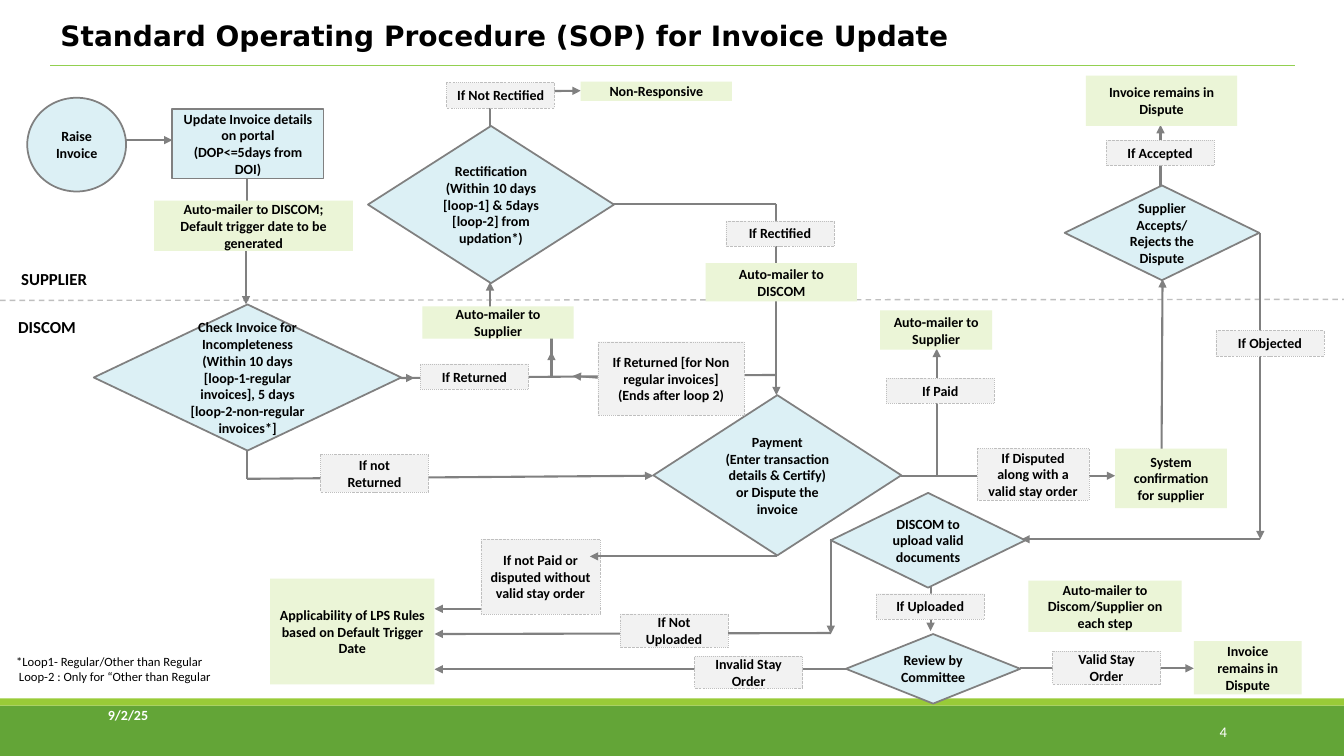
from pptx import Presentation
from pptx import util as u
from pptx.dml.color import RGBColor
from pptx.enum import dml, shapes, text
from pptx.oxml.ns import qn
from lxml import etree

PX = 9144
BLACK = RGBColor(0x00, 0x00, 0x00)
WHITE = RGBColor(0xFF, 0xFF, 0xFF)
GRAY = RGBColor(0x80, 0x80, 0x80)
SILVER = RGBColor(0xBF, 0xBF, 0xBF)
BLUE = RGBColor(0xDC, 0xF0, 0xF5)
MINT = RGBColor(0xEB, 0xF5, 0xD7)
PALE = RGBColor(0xF2, 0xF2, 0xF2)
GREEN = RGBColor(0x63, 0xA5, 0x37)
LIME = RGBColor(0x99, 0xCB, 0x38)
RULE = RGBColor(0x92, 0xD0, 0x50)

RECT = shapes.MSO_SHAPE.RECTANGLE
OVAL = shapes.MSO_SHAPE.OVAL
DIAMOND = shapes.MSO_SHAPE.FLOWCHART_DECISION
LEFT, MID, RIGHT = text.PP_ALIGN.LEFT, text.PP_ALIGN.CENTER, text.PP_ALIGN.RIGHT
TOP, CENTER = text.MSO_ANCHOR.TOP, text.MSO_ANCHOR.MIDDLE

deck = Presentation()
deck.slide_width, deck.slide_height = 1333 * PX, 750 * PX
slide = deck.slides.add_slide(deck.slide_layouts[5])


def write(shape, words, size=10, color=BLACK, bold=True, align=MID, anchor=CENTER, font="Calibri"):
    frame = shape.text_frame
    frame.word_wrap = True
    frame.vertical_anchor = anchor
    frame.margin_left = frame.margin_right = 9 * PX
    frame.margin_top = frame.margin_bottom = 5 * PX
    for i, line in enumerate(words.split("|")):
        para = frame.add_paragraph() if i else frame.paragraphs[0]
        para.alignment = align
        run = para.add_run()
        run.text = line
        run.font.name = font
        run.font.size = u.Pt(size)
        run.font.bold = bold
        run.font.color.rgb = color


def join(ends, color=GRAY, width=1.5, arrow=False):
    link = slide.shapes.add_connector(shapes.MSO_CONNECTOR.STRAIGHT, *[n * PX for n in ends])
    link.line.color.rgb = color
    link.line.width = u.Pt(width)
    props = link._element.spPr
    if arrow:
        etree.SubElement(link.line._get_or_add_ln(), qn("a:tailEnd"), type="triangle")
    etree.SubElement(props, qn("a:effectLst"))
    return link


title = slide.shapes.title
title.left, title.top, title.width, title.height = [n * PX for n in (51, 13, 1209, 44)]
write(title, "Standard Operating Procedure (SOP) for Invoice Update",
      20, align=LEFT, anchor=TOP, font="DejaVu Sans")
join((50, 65, 1284, 65), RULE, 1)

for top, high, color in [(700, 50, GREEN), (693, 7, LIME)]:
    bar = slide.shapes.add_shape(RECT, 0, top * PX, 1333 * PX, high * PX)
    bar.shadow.inherit = False
    bar.fill.solid()
    bar.fill.fore_color.rgb = color
    bar.line.fill.background()

lane = join((0, 298, 1333, 297), SILVER, 1)
lane.line.dash_style = dml.MSO_LINE.DASH

plain = [
    (245, 435, 245, 475), (547, 326, 547, 375), (398, 375, 769, 372),
    (245, 177, 245, 217), (607, 202, 770, 202), (486, 125, 486, 90),
]
arrows = [
    (849, 664, 431, 664), (1250, 231, 1250, 535), (1012, 663, 1184, 663),
    (824, 628, 431, 629), (923, 555, 923, 626), (1151, 206, 1151, 124),
    (929, 472, 929, 346), (92, 139, 171, 139), (497, 91, 576, 90),
    (245, 475, 648, 472), (770, 202, 770, 392), (244, 239, 244, 302),
    (486, 326, 486, 280), (477, 604, 431, 604), (894, 472, 1106, 472),
    (1152, 459, 1153, 277), (824, 535, 824, 629),
]
thin = [(374, 375, 411, 375), (593, 375, 568, 373), (547, 375, 547, 349)]
for ends in plain:
    join(ends)
for ends in arrows:
    join(ends, arrow=True)
for ends in thin:
    join(ends, width=1, arrow=True)

steps = [
    (OVAL, 27, 97, 98, 93, "Raise Invoice"),
    (RECT, 171, 108, 150, 69, "Update Invoice details on portal|(DOP<=5days from DOI)"),
    (DIAMOND, 365, 125, 244, 156,
     "Rectification|(Within 10 days [loop-1] & 5days [loop-2] from updation*)"),
    (DIAMOND, 648, 392, 246, 159,
     "Payment|(Enter transaction details & Certify) or Dispute the invoice"),
    (DIAMOND, 824, 489, 193, 94, "DISCOM to upload valid documents"),
    (DIAMOND, 839, 629, 173, 69, "Review by Committee"),
    (DIAMOND, 1056, 184, 193, 94, "Supplier Accepts/ Rejects the Dispute"),
    (DIAMOND, 93, 302, 305, 145,
     "Check Invoice for Incompleteness (Within 10 days [loop-1-regular invoices], "
     "5 days [loop-2-non-regular invoices*]"),
]
results = [
    (RECT, 576, 81, 150, 19, "Non-Responsive"),
    (RECT, 700, 261, 150, 38, "Auto-mailer to DISCOM"),
    (RECT, 268, 574, 163, 105, "Applicability of LPS Rules based on Default Trigger Date"),
    (RECT, 873, 308, 111, 39, "Auto-mailer to Supplier"),
    (RECT, 1077, 75, 150, 50, "Invoice remains in Dispute"),
    (RECT, 1020, 576, 152, 51, "Auto-mailer to Discom/Supplier on each step"),
    (RECT, 1184, 636, 107, 53, "Invoice remains in Dispute"),
    (RECT, 153, 199, 197, 50, "Auto-mailer to DISCOM;|Default trigger date to be generated"),
    (RECT, 419, 304, 150, 32, "Auto-mailer to Supplier"),
    (RECT, 1106, 445, 111, 59, "System confirmation for supplier"),
]
cases = [
    (RECT, 417, 361, 107, 25, "If Returned"),
    (RECT, 593, 339, 145, 73, "If Returned [for Non regular invoices]|(Ends after loop 2)"),
    (RECT, 869, 589, 107, 25, "If Uploaded"),
    (RECT, 720, 219, 107, 25, "If Rectified"),
    (RECT, 879, 375, 107, 25, "If Paid"),
    (RECT, 1206, 328, 107, 25, "If Objected"),
    (RECT, 1097, 139, 107, 25, "If Accepted"),
    (RECT, 1044, 646, 107, 33, "Valid Stay Order"),
    (RECT, 477, 535, 118, 74, "If not Paid or disputed without valid stay order"),
    (RECT, 615, 609, 107, 33, "If Not Uploaded"),
    (RECT, 443, 82, 107, 25, "If Not Rectified"),
    (RECT, 318, 451, 107, 37, "If not|Returned"),
    (RECT, 969, 445, 111, 51, "If Disputed along with a valid stay order"),
    (RECT, 689, 651, 107, 32, "Invalid Stay Order"),
]
for group, fill, edge, width, dash in [
    (steps, BLUE, GRAY, 1.25, None),
    (results, MINT, None, 0, None),
    (cases, PALE, SILVER, 0.25, dml.MSO_LINE.DASH_DOT),
]:
    for kind, left, top, wide, high, words in group:
        box = slide.shapes.add_shape(kind, left * PX, top * PX, wide * PX, high * PX)
        box.shadow.inherit = False
        box.fill.solid()
        box.fill.fore_color.rgb = fill
        if edge:
            box.line.color.rgb = edge
            box.line.width = u.Pt(width)
            box.line.dash_style = dash
        else:
            box.line.fill.background()
        write(box, words)

for ends in [(771, 552, 585, 552), (1250, 535, 1013, 535)]:
    join(ends, arrow=True)

notes = [
    (12, 262, 124, 30, "SUPPLIER", 12, BLACK, True, LEFT, TOP),
    (9, 309, 124, 30, "DISCOM", 12, BLACK, True, LEFT, TOP),
    (7, 644, 225, 40, "*Loop1- Regular/Other than Regular| Loop-2 : Only for “Other than Regular",
     9, BLACK, False, LEFT, TOP),
    (98, 689, 287, 40, "9/2/25", 10, WHITE, True, LEFT, CENTER),
    (1083, 706, 143, 40, "4", 10.5, WHITE, False, RIGHT, CENTER),
]
for left, top, wide, high, *style in notes:
    label = slide.shapes.add_textbox(left * PX, top * PX, wide * PX, high * PX)
    write(label, *style)

deck.save("out.pptx")
